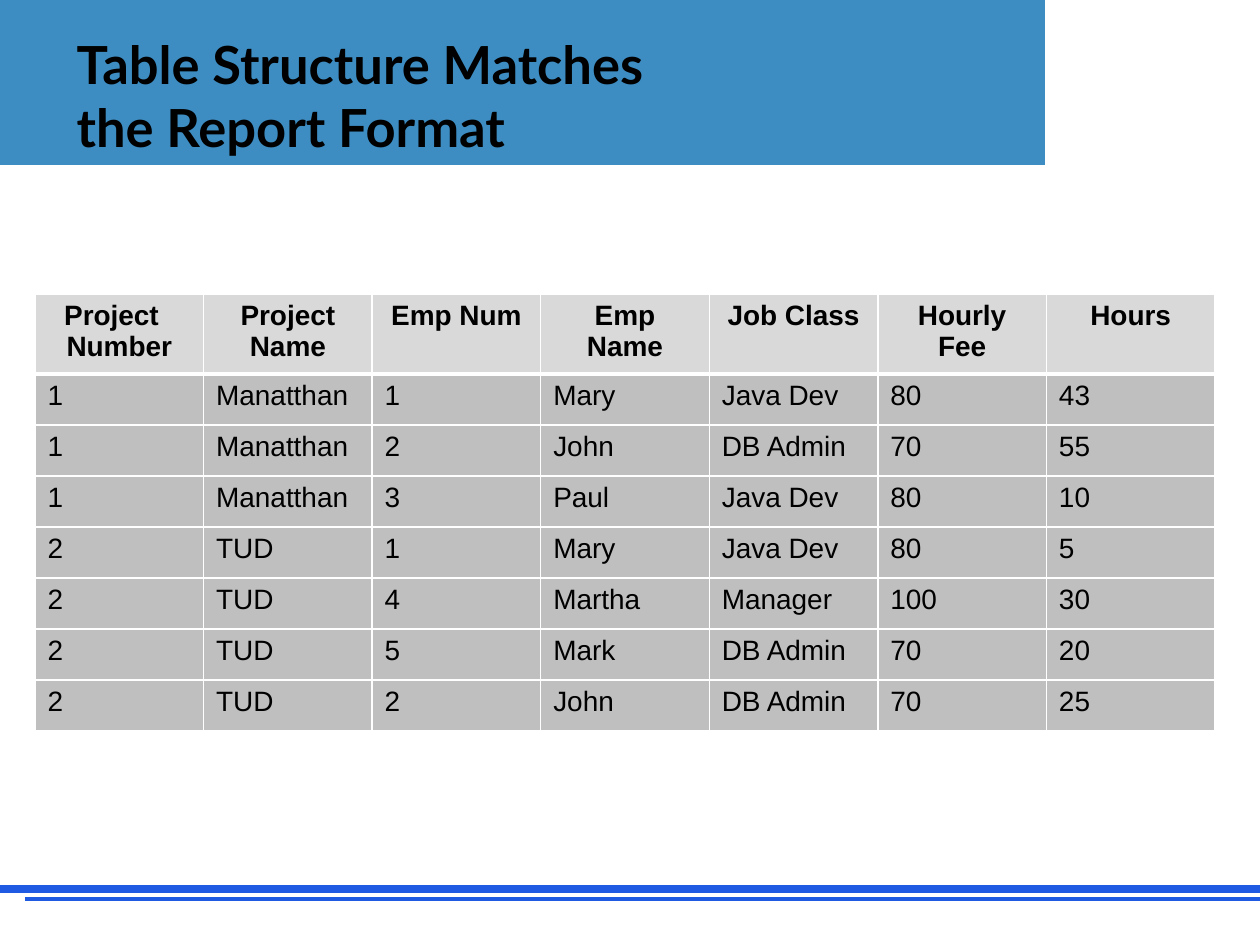
from lxml.etree import SubElement
from pptx import Presentation
from pptx.dml.color import RGBColor as RGB
from pptx.enum.shapes import MSO_CONNECTOR as Link, MSO_SHAPE as Shape
from pptx.enum.text import MSO_ANCHOR as Anchor, MSO_AUTO_SIZE as Fit, PP_ALIGN as Align
from pptx.oxml import parse_xml
from pptx.oxml.ns import nsdecls, qn
from pptx.util import Emu, Pt

SCALE = 914400 / 126
HUES = {
    "band": "3D8DC3",
    "rule": "1E5BE2",
    "white": "FFFFFF",
    "text": "000000",
    "head": "D9D9D9",
    "body": "BFBFBF",
}
TITLE = "Table Structure Matches \nthe Report Format"
HEADS = ["Project  \nNumber", "Project Name", "Emp Num", "Emp Name",
         "Job Class", "Hourly Fee", "Hours"]
ROWS = [
    ["1", "Manatthan", "1", "Mary", "Java Dev", "80", "43"],
    ["1", "Manatthan", "2", "John", "DB Admin", "70", "55"],
    ["1", "Manatthan", "3", "Paul", "Java Dev", "80", "10"],
    ["2", "TUD", "1", "Mary", "Java Dev", "80", "5"],
    ["2", "TUD", "4", "Martha", "Manager", "100", "30"],
    ["2", "TUD", "5", "Mark", "DB Admin", "70", "20"],
    ["2", "TUD", "2", "John", "DB Admin", "70", "25"],
]


def px(size):
    return Emu(round(size * SCALE))


def hue(name):
    return RGB.from_string(HUES[name])


def write(frame, text, size=16, face="Arial", bold=False, align=Align.LEFT):
    para = frame.paragraphs[0]
    para.text = text
    para.alignment = align
    for run in para.runs:
        font = run.font
        font.size, font.name, font.bold = Pt(size), face, bold
        font.color.rgb = hue("text")


def add_block(slide, box, fill, line=None):
    block = slide.shapes.add_shape(Shape.RECTANGLE, *map(px, box))
    block.shadow.inherit = False
    block.fill.solid()
    block.fill.fore_color.rgb = hue(fill)
    if line:
        block.line.color.rgb = hue(fill)
        block.line.width = Pt(line)
    else:
        block.line.fill.background()


def add_rule(slide, left, top, width):
    rule = slide.shapes.add_connector(
        Link.STRAIGHT, px(left), px(top), px(1260), px(top))
    rule.line.color.rgb = hue("rule")
    rule.line.width = Pt(width)
    SubElement(rule.element.spPr, qn("a:effectLst"))


def add_title(slide):
    title = slide.shapes.title
    title.left, title.top, title.width, title.height = map(px, (64, 26, 690, 140))
    frame = title.text_frame
    frame.word_wrap = False
    frame.auto_size = Fit.SHAPE_TO_FIT_TEXT
    frame.vertical_anchor = Anchor.TOP
    write(frame, TITLE, size=30, face="Lato", bold=True)
    # The title starts at the back, so bring it in front of the band.
    title.element.getparent().append(title.element)


def edge(cell, **sides):
    """Draw white cell borders; each side is given its width in points."""
    props = cell._tc.get_or_add_tcPr()
    for spot, (side, width) in enumerate(sides.items()):
        props.insert(spot, parse_xml(
            f'<a:ln{side} {nsdecls("a")} w="{Pt(width)}"><a:solidFill>'
            f'<a:srgbClr val="{HUES["white"]}"/></a:solidFill></a:ln{side}>'))


def add_grid(slide):
    data = [HEADS] + ROWS
    tall = [79] + [51] * len(ROWS)
    grid = slide.shapes.add_table(
        len(data), len(HEADS), px(35), px(294), px(1180), px(sum(tall))).table
    for row, high in zip(grid.rows, tall):
        row.height = px(high)
    for i, line in enumerate(data):
        head = i == 0
        for j, text in enumerate(line):
            cell = grid.cell(i, j)
            cell.fill.solid()
            cell.fill.fore_color.rgb = hue("head" if head else "body")
            edge(cell, L=1, R=1, T=3 if i == 1 else 1, B=3 if head else 1)
            write(cell.text_frame, text, bold=head,
                  align=Align.CENTER if head else Align.LEFT)


def main():
    deck = Presentation()
    deck.slide_width, deck.slide_height = px(1260), px(945)
    slide = deck.slides.add_slide(deck.slide_layouts[5])
    add_block(slide, (0, 0, 1260, 165), "band")
    add_rule(slide, 0, 889, 4.5)
    add_rule(slide, 25, 899, 2.25)
    add_block(slide, (1047, 0, 213, 175), "white", line=2)
    add_title(slide)
    add_grid(slide)
    deck.save("out.pptx")


if __name__ == "__main__":
    main()
